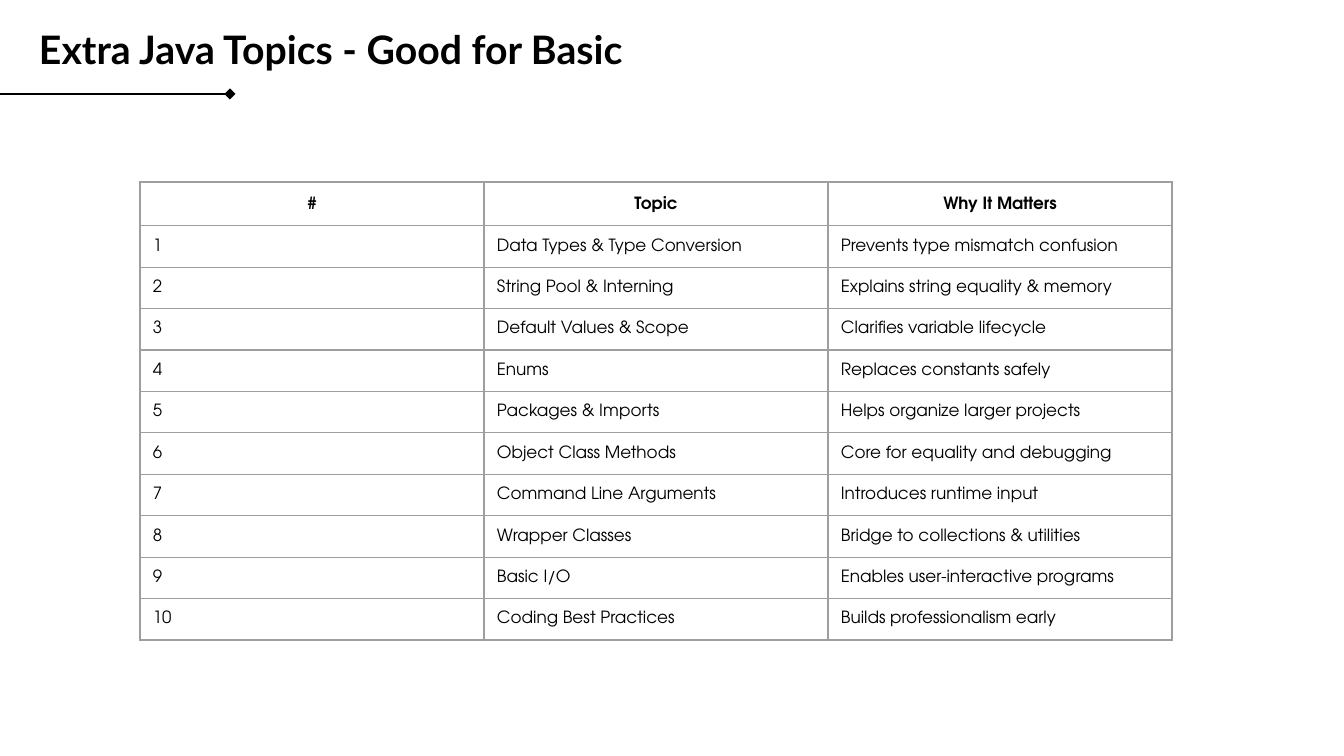
from dataclasses import dataclass

from lxml.etree import SubElement as Sub
from pptx import Presentation
from pptx.dml.color import RGBColor as Rgb
from pptx.enum.shapes import MSO_CONNECTOR as Conn
from pptx.enum.text import MSO_ANCHOR as Anchor, MSO_AUTO_SIZE as Fit, PP_ALIGN as Align
from pptx.oxml.ns import qn
from pptx.util import Pt

SCALE = 914400 / 134.4  # EMU per px


@dataclass(frozen=True)
class Theme:
    ink: str = "000000"
    grid: str = "9E9E9E"
    head: str = "Lato"
    body: str = "TeX Gyre Adventor"
    head_size: int = 21
    body_size: int = 9
    rule: float = 1.5
    edge: float = 0.75


TOPICS = [
    ("Data Types & Type Conversion", "Prevents type mismatch confusion"),
    ("String Pool & Interning", "Explains string equality & memory"),
    ("Default Values & Scope", "Clarifies variable lifecycle"),
    ("Enums", "Replaces constants safely"),
    ("Packages & Imports", "Helps organize larger projects"),
    ("Object Class Methods", "Core for equality and debugging"),
    ("Command Line Arguments", "Introduces runtime input"),
    ("Wrapper Classes", "Bridge to collections & utilities"),
    ("Basic I/O", "Enables user-interactive programs"),
    ("Coding Best Practices", "Builds professionalism early"),
]


def px(*vals):
    return [round(v * SCALE) for v in vals]


class Deck:
    def __init__(self, theme, wide, high):
        self.theme = theme
        self.prs = Presentation()
        self.prs.slide_width, self.prs.slide_height = px(wide, high)
        self.slide = self.prs.slides.add_slide(self.prs.slide_layouts[5])

    def style(self, para, font, size, bold):
        for run in para.runs:
            run.font.name, run.font.size, run.font.bold = font, Pt(size), bold
            run.font.color.rgb = Rgb.from_string(self.theme.ink)

    def title(self, text, *box):
        shape = self.slide.shapes.title
        shape.left, shape.top, shape.width, shape.height = px(*box)
        frame = shape.text_frame
        frame.text = text
        frame.word_wrap, frame.auto_size = True, Fit.NONE
        frame.vertical_anchor = Anchor.TOP
        frame.margin_left = frame.margin_top = 0
        frame.margin_right, frame.margin_bottom = px(13, 13)
        para = frame.paragraphs[0]
        para.alignment, para.line_spacing = Align.LEFT, 0.9
        self.style(para, self.theme.head, self.theme.head_size, True)

    def rule(self, *ends):
        """Draw a line that ends in a diamond."""
        line = self.slide.shapes.add_connector(Conn.STRAIGHT, *px(*ends))
        line.line.color.rgb = Rgb.from_string(self.theme.ink)
        line.line.width = Pt(self.theme.rule)
        Sub(line.line._get_or_add_ln(), qn("a:tailEnd"), type="diamond")
        Sub(line._element.spPr, qn("a:effectLst"))

    def border(self, cell):
        props = cell._tc.get_or_add_tcPr()
        for side in ("lnL", "lnR", "lnT", "lnB"):
            edge = Sub(props, qn(f"a:{side}"), w=str(Pt(self.theme.edge)))
            Sub(Sub(edge, qn("a:solidFill")), qn("a:srgbClr"), val=self.theme.grid)

    def cell(self, cell, text, head):
        cell.text = text
        cell.margin_left = cell.margin_right = px(13)[0]
        cell.margin_top = cell.margin_bottom = px(13)[0]
        self.border(cell)
        cell.fill.background()
        para = cell.text_frame.paragraphs[0]
        para.alignment = Align.CENTER if head else Align.LEFT
        para.line_spacing = 1.15 if head else 1.0
        self.style(para, self.theme.body, self.theme.body_size, head)

    def table(self, rows, left, top, col, row):
        count, wide = len(rows), len(rows[0])
        box = px(left, top, col * wide, row * count)
        grid = self.slide.shapes.add_table(count, wide, *box).table
        grid.horz_banding = False
        for r, texts in enumerate(rows):
            for c, text in enumerate(texts):
                self.cell(grid.cell(r, c), text, r == 0)

    def save(self):
        self.prs.save("out.pptx")


def main():
    deck = Deck(Theme(), 1344, 756)
    deck.rule(0, 94, 230, 94)
    deck.title("Extra Java Topics - Good for Basic", 39, 31, 1008, 52)
    rows = [(str(n), *pair) for n, pair in enumerate(TOPICS, 1)]
    deck.table([("#", "Topic", "Why It Matters"), *rows], 140, 182, 344, 39)
    deck.save()


if __name__ == "__main__":
    main()
